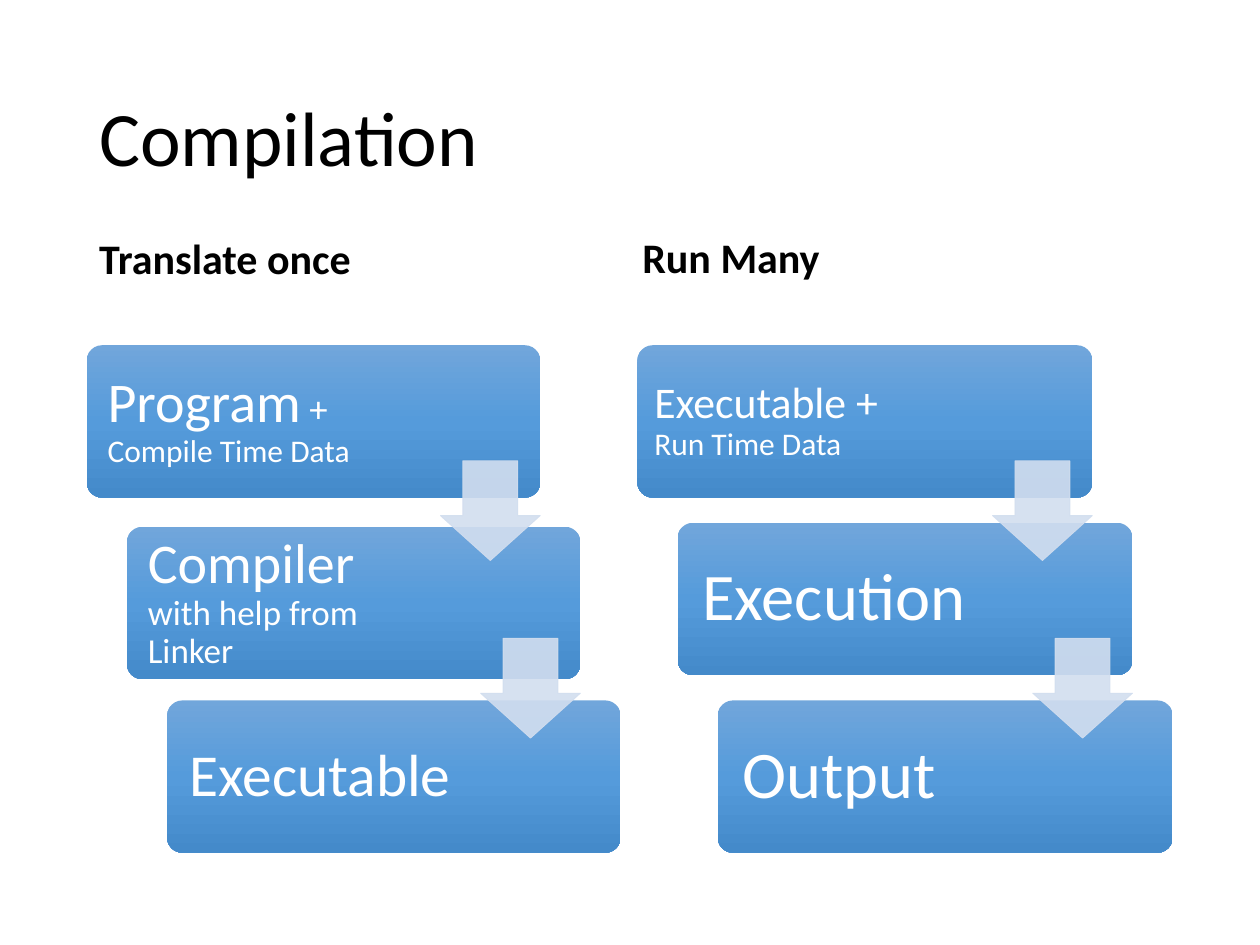
from copy import deepcopy

from lxml.etree import SubElement
from pptx import Presentation
from pptx.dml.color import RGBColor
from pptx.enum.shapes import MSO_SHAPE
from pptx.enum.text import MSO_ANCHOR
from pptx.oxml.ns import qn
from pptx.util import Cm, Pt

FONT = "Calibri"
BLACK, WHITE, ARROW_COLOR = "000000", "FFFFFF", "D2DEEF"
BOX_GRADIENT = ((0, "71A6DB"), (0.5, "559BDB"), (1, "448ACA"))
BOX_HEIGHT, BOX_TOP = 3.07, 6.96
STEP_RIGHT, STEP_DOWN = 0.81, 3.58
TEXT_OFFSET, TEXT_HEIGHT = 0.09, 2.9
ARROW_SIZE, ARROW_DROP = 2.01, 2.33


def color(hex_string):
    return RGBColor.from_string(hex_string)


def add_text(shapes, paragraphs, left, top, width, height, *, text_color=BLACK,
             bold=False, anchor=MSO_ANCHOR.MIDDLE, margins=(0.25, 0.13),
             line_spacing=0.9, space_before=0):
    """Each paragraph is a list of (text, size) runs."""
    text_box = shapes.add_textbox(Cm(left), Cm(top), Cm(width), Cm(height))
    frame = text_box.text_frame
    frame.word_wrap = True
    frame.vertical_anchor = anchor
    frame.margin_left = frame.margin_right = Cm(margins[0])
    frame.margin_top = frame.margin_bottom = Cm(margins[1])
    for index, runs in enumerate(paragraphs):
        paragraph = frame.add_paragraph() if index else frame.paragraphs[0]
        paragraph.line_spacing = line_spacing
        paragraph.space_before = Pt(space_before)
        for text, size in runs:
            run = paragraph.add_run()
            run.text = text
            run.font.name = FONT
            run.font.size = Pt(size)
            run.font.bold = bold
            run.font.color.rgb = color(text_color)


def add_box(shapes, left, top, width):
    shape = shapes.add_shape(MSO_SHAPE.ROUNDED_RECTANGLE,
                             Cm(left), Cm(top), Cm(width), Cm(BOX_HEIGHT))
    shape.adjustments[0] = 0.1
    shape.shadow.inherit = False
    shape.line.fill.background()
    shape.fill.gradient()
    shape.fill.gradient_angle = 270
    stop_list = shape._element.spPr.find(".//" + qn("a:gsLst"))
    stop_list.append(deepcopy(stop_list[0]))
    for stop, (position, stop_color) in zip(shape.fill.gradient_stops, BOX_GRADIENT):
        stop.position = position
        stop.color.rgb = color(stop_color)


def add_arrow(shapes, left, top):
    shape = shapes.add_shape(MSO_SHAPE.DOWN_ARROW,
                             Cm(left), Cm(top), Cm(ARROW_SIZE), Cm(ARROW_SIZE))
    shape.adjustments[0] = 0.55
    shape.adjustments[1] = 0.45
    shape.shadow.inherit = False
    shape.line.width = Pt(0.5)
    for fill in (shape.fill, shape.line.fill):
        fill.solid()
        fill.fore_color.rgb = color(ARROW_COLOR)
    for color_element in shape._element.spPr.iter(qn("a:srgbClr")):
        SubElement(color_element, qn("a:alpha"), val="90000")


def add_staircase(slide, left, box_width, steps):
    """Each step is (paragraphs, inset, extra drop); arrows join the steps."""
    shapes = slide.shapes.add_group_shape().shapes
    for index, (paragraphs, inset, drop) in enumerate(steps):
        box_left = left + index * STEP_RIGHT
        box_top = BOX_TOP + index * STEP_DOWN + drop
        add_box(shapes, box_left, box_top, box_width)
        text_width = box_width - (2.99 if index else 3.31)
        add_text(shapes, paragraphs, box_left + TEXT_OFFSET, box_top + TEXT_OFFSET,
                 text_width, TEXT_HEIGHT, text_color=WHITE, margins=(inset, inset),
                 line_spacing=0.9)
    for index in range(len(steps) - 1):
        add_arrow(shapes, left + index * STEP_RIGHT + box_width - ARROW_SIZE,
                  BOX_TOP + index * STEP_DOWN + ARROW_DROP)


def main():
    presentation = Presentation()
    presentation.slide_width, presentation.slide_height = Cm(25.4), Cm(19.05)
    slide = presentation.slides.add_slide(presentation.slide_layouts[6])

    add_text(slide.shapes, [[("Compilation", 44)]], 1.75, 1.02, 21.89, 3.68)
    for heading, left, top in (("Translate once", 1.75, 3.56), ("Run Many", 12.7, 3.53)):
        add_text(slide.shapes, [[(heading, 24)]], left, top, 10.77, 2.29,
                 bold=True, anchor=MSO_ANCHOR.BOTTOM, space_before=10)

    add_staircase(slide, 1.75, 9.14, (
        ([[("Program", 32), (" + ", 21), ("Compile Time Data", 18)]], 0.33, 0),
        ([[("Compiler", 32)], [("with help from Linker", 20)]], 0.33, 0.08),
        ([[("Executable", 34)]], 0.36, 0),
    ))
    add_staircase(slide, 12.85, 9.17, (
        ([[("Executable + ", 25), ("Run Time Data", 18)]], 0.25, 0),
        ([[("Execution", 38)]], 0.41, 0),
        ([[("Output", 38)]], 0.41, 0),
    ))
    presentation.save("out.pptx")


if __name__ == "__main__":
    main()
